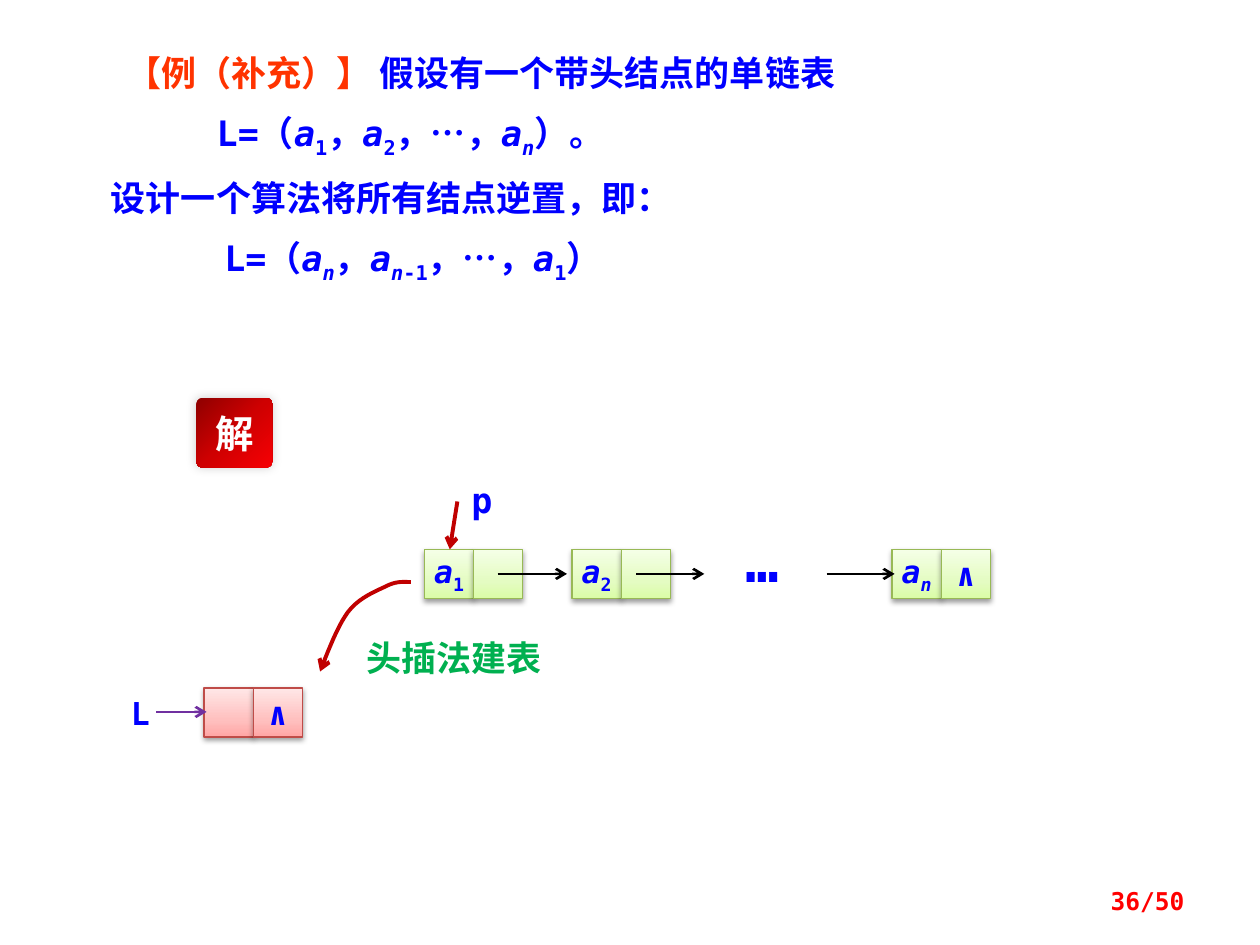
from lxml import etree
from pptx import Presentation
from pptx.dml.color import RGBColor
from pptx.enum.shapes import MSO_CONNECTOR, MSO_SHAPE
from pptx.enum.text import MSO_ANCHOR, MSO_AUTO_SIZE, PP_ALIGN
from pptx.oxml.ns import qn
from pptx.util import Inches, Pt

LEFT, CENTER, RIGHT, JUSTIFY = PP_ALIGN.LEFT, PP_ALIGN.CENTER, PP_ALIGN.RIGHT, PP_ALIGN.JUSTIFY
TOP, MIDDLE = MSO_ANCHOR.TOP, MSO_ANCHOR.MIDDLE
MONO, CJK, ARIAL = "DejaVu Sans Mono", "Noto Sans CJK SC", "Arial"
COLORS = {"text": "0000FF", "example": "FF3300", "method": "00B050", "page": "FF0000",
          "white": "FFFFFF", "link": "000000", "head": "7030A0", "move": "C00000",
          "green line": "98B955", "red line": "BF4C48", "shadow": "000000"}
GRADIENTS = {"green": [(0, "DAFDA7"), (35, "E4FCC2"), (100, "F5FFE7")],
             "red": [(0, "FFA6A5"), (35, "FFC0BF"), (100, "FFE7E7")],
             "badge": [(0, "8F0000"), (50, "CF0001"), (100, "F60004")]}

# Run styles: "i" italic, "s" subscript, "e" Arial, "x" example colour
A1, A2, AN = ([("a", "i"), (index, style)]
              for index, style in (("1", "s"), ("2", "s"), ("n", "is")))
COMMA, DOTS = ("，", ""), ("…", "e")
# Problem statement: (indent in inches, space before in points, runs)
PROBLEM = [
    (0.12, 0, [("【例（补充）】", "x"), (" ", "e"), ("假设有一个带头结点的单链表", "")]),
    (0.84, 13.4, [("L=（", ""), *A1, COMMA, *A2, COMMA, DOTS, COMMA, *AN, ("）。", "")]),
    (0, 10, [("设计一个算法将所有结点逆置，即：", "")]),
    (0.9, 13.4, [("L=（", ""), *AN, COMMA, *AN, ("-1", "s"), COMMA, DOTS, COMMA, *A1, ("）", "")]),
]

# Nodes: (left, top, palette, data field, pointer field)
CELL = 0.39
LIST_TOP, HEAD_TOP = 4.36, 5.46
NULL = [("∧", "")]
NODES = [(1.62, HEAD_TOP, "red", [], NULL), (3.37, LIST_TOP, "green", A1, []),
         (4.54, LIST_TOP, "green", A2, []), (7.08, LIST_TOP, "green", AN, NULL)]
# Arrows: (start, end, colour, width)
LINK_Y = LIST_TOP + CELL / 2
ARROWS = [((1.24, 5.65), (1.64, 5.65), "head", 1.5),
          ((3.95, LINK_Y), (4.5, LINK_Y), "link", 1.5),
          ((5.05, LINK_Y), (5.59, LINK_Y), "link", 1.5),
          ((6.56, LINK_Y), (7.1, LINK_Y), "link", 1.5),
          ((3.63, 3.98), (3.57, 4.36), "move", 2.25)]
# Bezier pieces of the head-insertion arrow, sharing end points
CURVE = [(3.26, 4.62), (3.21, 4.62), (3.15, 4.61), (3.07, 4.65), (2.99, 4.69),
         (2.85, 4.74), (2.76, 4.86), (2.68, 4.97), (2.61, 5.15), (2.54, 5.33)]
CURVE_STEPS = 10
# Labels: (text, box, size, colour, font, alignment, anchor)
LABELS = [("L", (0.94, 5.46, 0.29, 0.4), 18, "text", MONO, LEFT, TOP),
          ("…", (5.82, 4.13, 0.79, 0.63), 32, "text", MONO, LEFT, TOP),
          ("p", (3.55, 3.75, 0.55, 0.44), 20, "text", MONO, CENTER, TOP),
          ("头插法建表", (2.81, 5, 2.05, 0.43), 20, "method", CJK, LEFT, TOP),
          ("36/50", (7.17, 6.95, 2.33, 0.4), 14, "page", MONO, RIGHT, MIDDLE)]


def rgb(name):
    return RGBColor.from_string(COLORS[name])


def add_runs(paragraph, runs, size, color="text", font=MONO):
    for text, style in runs:
        run = paragraph.add_run()
        run.text = text
        run.font.size, run.font.bold, run.font.italic = Pt(size), True, "i" in style
        run.font.color.rgb = rgb("example" if "x" in style else color)
        run.font.name = ARIAL if "e" in style else font
        properties = run._r.get_or_add_rPr()
        if "s" in style:
            properties.set("baseline", "-25000")
        east_asian = etree.SubElement(properties, qn("a:ea"))
        east_asian.set("typeface", CJK if "e" in style else font)


def set_gradient(shape, palette, angle):
    shape.fill.gradient()
    shape.fill.gradient_angle = angle
    stops = shape._element.spPr.find(".//" + qn("a:gsLst"))
    for stop in list(stops):
        stops.remove(stop)
    for position, color in GRADIENTS[palette]:
        stop = etree.SubElement(stops, qn("a:gs"), pos=str(position * 1000))
        etree.SubElement(stop, qn("a:srgbClr"), val=color)


def set_shadow(shape, alpha, blur, distance, direction):
    shape.shadow.inherit = False
    effects = shape._element.spPr.find(qn("a:effectLst"))
    shadow = etree.SubElement(effects, qn("a:outerShdw"), blurRad=str(Pt(blur)),
                              dist=str(Pt(distance)), dir=str(direction * 60000), rotWithShape="0")
    color = etree.SubElement(shadow, qn("a:srgbClr"), val=COLORS["shadow"])
    etree.SubElement(color, qn("a:alpha"), val=str(alpha * 1000))


def style_arrow(shape, color, width):
    shape.line.color.rgb = rgb(color)
    shape.line.width = Pt(width)
    etree.SubElement(shape.line._get_or_add_ln(), qn("a:tailEnd"), type="arrow")


def add_box(slide, kind, box, runs, size, color="text", font=MONO):
    shape = slide.shapes.add_shape(kind, *map(Inches, box))
    frame = shape.text_frame
    frame.word_wrap, frame.vertical_anchor = False, MIDDLE
    frame.paragraphs[0].alignment = CENTER
    add_runs(frame.paragraphs[0], runs, size, color, font)
    return shape


def add_problem(slide):
    title = slide.shapes.title
    title.left, title.top, title.width, title.height = map(Inches, (0.78, 0.36, 7.66, 1.95))
    frame = title.text_frame
    frame.auto_size, frame.word_wrap, frame.vertical_anchor = MSO_AUTO_SIZE.NONE, True, TOP
    for number, (indent, space_before, runs) in enumerate(PROBLEM):
        paragraph = frame.add_paragraph() if number else frame.paragraphs[0]
        paragraph._p.get_or_add_pPr().set("marL", str(Inches(indent)))
        paragraph.alignment = JUSTIFY
        paragraph.line_spacing = Pt(24)
        paragraph.space_before = Pt(space_before)
        add_runs(paragraph, runs, 20)


def add_node(slide, left, top, palette, *fields):
    for column, runs in enumerate(fields):
        box = (left + column * CELL, top, CELL, CELL)
        cell = add_box(slide, MSO_SHAPE.RECTANGLE, box, runs, 18)
        set_gradient(cell, palette, 90)
        cell.line.color.rgb = rgb(palette + " line")
        cell.line.width = Pt(0.75)
        set_shadow(cell, 38, 3.1, 1.6, 90)


def add_arrow(slide, start, end, color, width):
    points = map(Inches, (*start, *end))
    connector = slide.shapes.add_connector(MSO_CONNECTOR.STRAIGHT, *points)
    style_arrow(connector, color, width)
    etree.SubElement(connector._element.spPr, qn("a:effectLst"))


def add_curve(slide):
    points = []
    for first in range(0, len(CURVE) - 1, 3):
        for step in range(1, CURVE_STEPS + 1):
            t = step / CURVE_STEPS
            weights = ((1 - t) ** 3, 3 * t * (1 - t) ** 2, 3 * t * t * (1 - t), t ** 3)
            points.append(tuple(Inches(sum(weight * point[axis] for weight, point
                                           in zip(weights, CURVE[first:first + 4])))
                                for axis in (0, 1)))
    builder = slide.shapes.build_freeform(*map(Inches, CURVE[0]))
    builder.add_line_segments(points, close=False)
    curve = builder.convert_to_shape()
    curve.fill.background()
    style_arrow(curve, "move", 2.25)
    curve.shadow.inherit = False


def add_label(slide, text, box, size, color, font, alignment, anchor):
    frame = slide.shapes.add_textbox(*map(Inches, box)).text_frame
    frame.word_wrap, frame.vertical_anchor = True, anchor
    frame.paragraphs[0].alignment = alignment
    add_runs(frame.paragraphs[0], [(text, "")], size, color, font)


def add_badge(slide):
    badge = add_box(slide, MSO_SHAPE.ROUNDED_RECTANGLE, (1.56, 3.16, 0.6, 0.55),
                    [("解", "")], 22, "white", CJK)
    badge.adjustments[0] = 0.08
    set_gradient(badge, "badge", 315)
    badge.line.fill.background()
    set_shadow(badge, 20, 6, 0, 225)


def main():
    presentation = Presentation()
    presentation.slide_width, presentation.slide_height = Inches(10), Inches(7.5)
    slide = presentation.slides.add_slide(presentation.slide_layouts[5])
    add_problem(slide)
    for node in NODES:
        add_node(slide, *node)
    for arrow in ARROWS:
        add_arrow(slide, *arrow)
    add_curve(slide)
    for label in LABELS:
        add_label(slide, *label)
    add_badge(slide)
    presentation.save("out.pptx")


if __name__ == "__main__":
    main()
